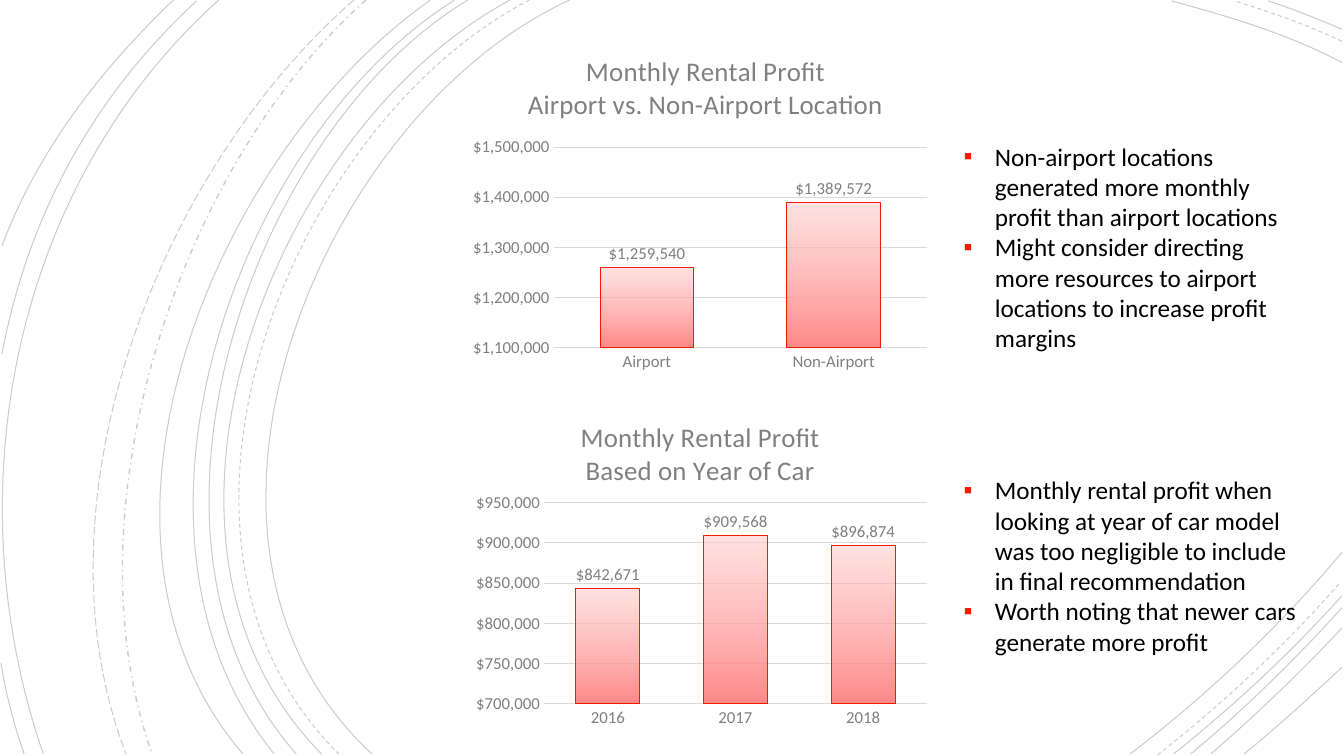
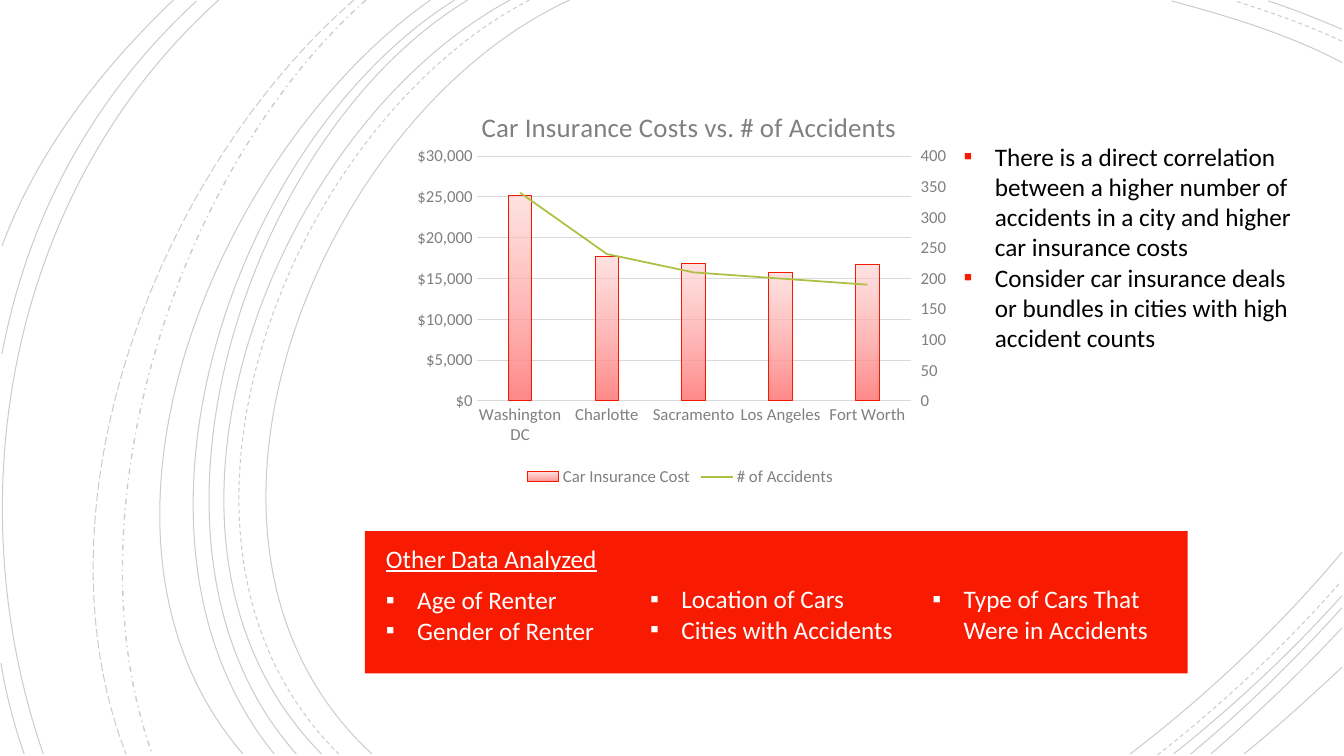
"""Build two slides of rental profit and car insurance charts."""
from pptx import Presentation, oxml
from pptx import util as u
from pptx.chart import axis, data
from pptx.dml.color import RGBColor
from pptx.enum import chart as ch, dml, shapes, text
from pptx.oxml import ns

FONT = "Calibri"
COLORS = {"black": "000000", "white": "FFFFFF", "red": "F81B02", "edge": "F31A02",
          "grey": "808080", "grid": "D9D9D9", "bar_top": "FFCECD",
          "bar_bottom": "FF807F", "line": "AFBF41"}
NSDECL = ns.nsdecls("a", "c")
DOLLARS = '"$"#,##0'

ARCS = {
    (dml.MSO_LINE.SOLID, 0.75): [
        (5.65, 0, 3.15, 1.15, 1.43, 5.4, 3.69, 7.48),
        (13.31, 0.62, 12.78, 0.34, 12.18, 0.16, 11.62, 0.01),
        (11.21, 7.48, 11.97, 6.9, 12.69, 6.22, 13.31, 5.48),
        (5.06, 0, 2.7, 1.27, 1.1, 5.37, 3.19, 7.48),
        (13.31, 0.29, 13.07, 0.19, 12.83, 0.09, 12.58, 0.01),
        (11.64, 7.48, 12.23, 7.01, 12.8, 6.48, 13.31, 5.91),
        (4.64, 0, 2.44, 1.33, 1.1, 5.41, 2.94, 7.48),
        (11.81, 7.48, 12.34, 7.04, 12.84, 6.55, 13.31, 6.03),
        (4.51, 0, 2.31, 1.38, 0.97, 5.33, 2.72, 7.48),
        (12.01, 7.48, 12.46, 7.09, 12.9, 6.67, 13.31, 6.23),
        (4.27, 0, 2.17, 1.47, 0.53, 5.29, 2.41, 7.48),
        (12.34, 7.48, 12.67, 7.21, 12.99, 6.92, 13.31, 6.62),
        (2.17, 0, 0.11, 1.85, -0.46, 4.9, 0.43, 7.48),
        (1.95, 0.01, 0.92, 0.96, 0.28, 2.14, 0.02, 3.51),
        (0.01, 6.58, 0.06, 6.89, 0.14, 7.19, 0.24, 7.48),
        (1.72, 0, 1, 0.69, 0.37, 1.5, 0.02, 2.44)],
    (dml.MSO_LINE.DASH, 0.75): [
        (5.25, 0, 2.85, 1.25, 1.23, 5.37, 3.36, 7.48),
        (13.31, 0.41, 12.97, 0.25, 12.6, 0.12, 12.25, 0.01),
        (11.48, 7.49, 12.13, 6.98, 12.75, 6.4, 13.3, 5.77)],
    (dml.MSO_LINE.DASH_DOT, 1): [(3.63, 0, 1.76, 1.66, 0.65, 5.09, 1.51, 7.48)],
    (dml.MSO_LINE.LONG_DASH, 0.75): [(3.51, 0, 1.57, 1.69, 0.29, 4.99, 1.25, 7.48)],
}


def rgb(name):
    """Return the named colour."""
    return RGBColor.from_string(COLORS[name])


def assign(obj, **values):
    """Set attributes from a dict of format values."""
    for name, value in values.items():
        setattr(obj, name, value)


def set_font(font, size, color, **extra):
    """Format a font."""
    assign(font, name=FONT, size=u.Pt(size), **extra)
    font.color.rgb = rgb(color)


def set_line(line, color, width):
    """Format a line."""
    line.color.rgb = rgb(color)
    line.width = u.Pt(width)


def set_alpha(el, *percents):
    """Give the colours inside an element their opacity."""
    for clr, percent in zip(el.iter(ns.qn("a:srgbClr")), percents):
        clr.append(oxml.parse_xml(f'<a:alpha {NSDECL} val="{percent * 1000}"/>'))


def add_arc(slide, tree, number, points, dash, width):
    """Draw a Bezier arc and place it on the shared layout."""
    pts = list(zip(points[::2], points[1::2]))
    builder = slide.shapes.build_freeform(*pts[0], scale=u.Inches(1) / 1.0)
    builder = slide.shapes.build_freeform(
        *(round(v * 100) for v in pts[0]), scale=u.Inches(0.01))
    builder.add_line_segments(
        [(round(x * 100), round(y * 100)) for x, y in pts[1:]], close=False)
    sp = builder.convert_to_shape()
    sp.shadow.inherit = False
    sp.fill.background()
    set_line(sp.line, "black", width)
    sp.line.dash_style = dash
    set_alpha(sp.element, 20)
    steps = list(sp.element.iter(ns.qn("a:lnTo")))
    curve = oxml.parse_xml(f"<a:cubicBezTo {NSDECL}/>")
    steps[0].addprevious(curve)
    for step in steps:
        curve.append(step[0])
        step.getparent().remove(step)
    next(sp.element.iter(ns.qn("p:cNvPr"))).set("id", str(100 + number))
    tree.append(sp.element)


def add_arcs(slide):
    """Draw the background arcs once for all slides."""
    tree = slide.slide_layout.shapes.element
    arcs = [(pts, *style) for style, group in ARCS.items() for pts in group]
    for number, arc in enumerate(arcs):
        add_arc(slide, tree, number, *arc)


def add_text(slide, box, lines, color="black", bullet="red", underline=None):
    """Add a text box, bulleted when a bullet colour is given."""
    tf = slide.shapes.add_textbox(*map(u.Inches, box)).text_frame
    assign(tf, word_wrap=True, auto_size=text.MSO_AUTO_SIZE.SHAPE_TO_FIT_TEXT)
    for i, line in enumerate(lines):
        p = tf.paragraphs[0] if i == 0 else tf.add_paragraph()
        r = p.add_run()
        r.text = line
        set_font(r.font, 18, color, underline=underline)
        if bullet:
            pPr = p._p.get_or_add_pPr()
            pPr.set("marL", str(u.Inches(0.31)))
            pPr.set("indent", str(-u.Inches(0.31)))
            for xml in (f'<a:buClr {NSDECL}><a:srgbClr val="{COLORS[bullet]}"/></a:buClr>',
                        f'<a:buFont {NSDECL} typeface="Wingdings"/>',
                        f'<a:buChar {NSDECL} char="▪"/>'):
                pPr.append(oxml.parse_xml(xml.replace("Wingdings", "Arial")))


def set_layout(parent, index, **values):
    """Place a chart part by fractions of the chart's size."""
    for old in parent.findall(ns.qn("c:layout")):
        parent.remove(old)
    target = '<c:layoutTarget val="inner"/>' if "w" in values else ""
    modes = "".join(f'<c:{k}Mode val="edge"/>' for k in "xy")
    parts = "".join(f'<c:{k} val="{v}"/>' for k, v in values.items())
    parent.insert(index, oxml.parse_xml(
        f"<c:layout {NSDECL}><c:manualLayout>{target}{modes}{parts}"
        "</c:manualLayout></c:layout>"))


def style_value_axis(ax, low, high, step, fmt):
    """Set a value axis' scale and look."""
    assign(ax, minimum_scale=low, maximum_scale=high, major_unit=step,
           major_tick_mark=ch.XL_TICK_MARK.NONE)
    set_font(ax.tick_labels.font, 12, "grey")
    assign(ax.tick_labels, number_format=fmt, number_format_is_linked=False)
    ax.format.line.fill.background()


def add_columns(slide, box, title, title_at, plot_at, cats, series, scale, gap, overlap):
    """Add a column chart with gradient bars."""
    cd = data.CategoryChartData()
    cd.categories = cats
    for name, values in series.items():
        cd.add_series(name, values)
    chart = slide.shapes.add_chart(
        ch.XL_CHART_TYPE.COLUMN_CLUSTERED, *map(u.Inches, box), cd).chart
    set_font(chart.font, 10, "black")
    assign(chart, has_legend=False, has_title=True)
    tf = chart.chart_title.text_frame
    tf.text = title
    for p in tf.paragraphs:
        set_font(p.runs[0].font, 19.2, "grey", bold=False)
    set_layout(chart.chart_title.element, 1, **dict(zip("xy", title_at)))
    set_layout(chart.element.find(".//" + ns.qn("c:plotArea")), 0,
               **dict(zip("xywh", plot_at)))
    style_value_axis(chart.value_axis, *scale, DOLLARS)
    set_line(chart.value_axis.major_gridlines.format.line, "grid", 0.75)
    cat = chart.category_axis
    cat.major_tick_mark = ch.XL_TICK_MARK.NONE
    set_font(cat.tick_labels.font, 12, "grey")
    set_line(cat.format.line, "grid", 0.75)
    plot = chart.plots[0]
    assign(plot, gap_width=gap, overlap=overlap, vary_by_categories=False)
    bars = plot.series[0]
    fill = bars.format.fill
    fill.gradient()
    fill.gradient_angle = 270
    for stop, name in zip(fill.gradient_stops, ("bar_top", "bar_bottom")):
        stop.color.rgb = rgb(name)
    set_alpha(bars.format.element if hasattr(bars.format, "element")
              else bars._element.find(ns.qn("c:spPr")), 60, 92)
    set_line(bars.format.line, "edge", 0.75)
    return chart


def add_profit_chart(slide, top, **values):
    """Add a monthly profit chart with value labels."""
    chart = add_columns(slide, (4.54, top, 4.75, 3.32), gap=100, overlap=-24, **values)
    plot = chart.plots[0]
    plot.has_data_labels = True
    labels = plot.data_labels
    assign(labels, show_value=True, number_format=DOLLARS, number_format_is_linked=False,
           position=ch.XL_LABEL_POSITION.OUTSIDE_END)
    set_font(labels.font, 12, "grey")


def move_to_second_axis(chart, scale):
    """Turn the last series into a line on a right-hand axis."""
    bar = chart.element.find(".//" + ns.qn("c:barChart"))
    ser = bar.findall(ns.qn("c:ser"))[-1]
    for el in ser.findall(ns.qn("c:invertIfNegative")):
        ser.remove(el)
    line = oxml.parse_xml(
        f'<c:lineChart {NSDECL}><c:grouping val="standard"/><c:varyColors val="0"/>'
        '<c:marker val="1"/><c:axId val="501"/><c:axId val="502"/></c:lineChart>')
    line.insert(2, ser)
    bar.addnext(line)
    last = chart.value_axis._element
    for tag, own, other, hide, pos, cross in (
            ("valAx", 502, 501, 0, "r", "max"), ("catAx", 501, 502, 1, "b", "autoZero")):
        last.addnext(oxml.parse_xml(
            f'<c:{tag} {NSDECL}><c:axId val="{own}"/><c:scaling>'
            f'<c:orientation val="minMax"/></c:scaling><c:delete val="{hide}"/>'
            f'<c:axPos val="{pos}"/><c:majorTickMark val="out"/>'
            f'<c:minorTickMark val="none"/><c:tickLblPos val="nextTo"/>'
            f'<c:crossAx val="{other}"/><c:crosses val="{cross}"/></c:{tag}>'))
    right = axis.ValueAxis(last.getnext().getnext())
    style_value_axis(right, *scale, "General")
    right.major_tick_mark = ch.XL_TICK_MARK.OUTSIDE
    accidents = chart.plots[1].series[0]
    accidents.smooth = False
    accidents.marker.style = ch.XL_MARKER_STYLE.NONE
    set_line(accidents.format.line, "line", 1.25)


def build_profit(slide):
    """Fill the monthly profit slide."""
    add_profit_chart(
        slide, 0.43, title="Monthly Rental Profit\nAirport vs. Non-Airport Location",
        title_at=(0.14, 0.02), plot_at=(0.2, 0.31, 0.78, 0.6),
        cats=["Airport", "Non-Airport"], series={"Series 1": [1259540, 1389572]},
        scale=(1100000, 1500000, 100000))
    add_profit_chart(
        slide, 3.96, title="Monthly Rental Profit\nBased on Year of Car",
        title_at=(0.25, 0.05), plot_at=(0.18, 0.31, 0.8, 0.6),
        cats=["2016", "2017", "2018"], series={"Series 1": [842671, 909568, 896874]},
        scale=(700000, 950000, 50000))
    add_text(slide, (9.46, 1.35, 3.54, 2.22), [
        "Non-airport locations generated more monthly profit than airport locations",
        "Might consider directing more resources to airport locations to increase "
        "profit margins"])
    add_text(slide, (9.46, 4.66, 3.54, 1.92), [
        "Monthly rental profit when looking at year of car model was too negligible "
        "to include in final recommendation",
        "Worth noting that newer cars generate more profit"])


def build_insurance(slide):
    """Fill the car insurance slide."""
    add_text(slide, (9.46, 1.35, 3.54, 2.22), [
        "There is a direct correlation between a higher number of accidents in a city "
        "and higher car insurance costs",
        "Consider car insurance deals or bundles in cities with high accident counts"])
    chart = add_columns(
        slide, (4.02, 0.82, 5.45, 4.05), "Car Insurance Costs vs. # of Accidents",
        (0.13, 0.05), (0.13, 0.18, 0.79, 0.6),
        ["Washington DC", "Charlotte", "Sacramento", "Los Angeles", "Fort Worth"],
        {"Car Insurance Cost": [25200, 17700, 16800, 15700, 16700],
         "# of Accidents": [340, 240, 210, 200, 190]},
        (0, 30000, 5000), 269, -27)
    move_to_second_axis(chart, (0, 400, 50))
    chart.has_legend = True
    assign(chart.legend, position=ch.XL_LEGEND_POSITION.BOTTOM, include_in_layout=False)
    set_font(chart.legend.font, 12, "grey")
    sp = slide.shapes.add_shape(
        shapes.MSO_SHAPE.RECTANGLE, *map(u.Inches, (3.62, 5.27, 8.16, 1.41)))
    sp.shadow.inherit = False
    sp.fill.solid()
    sp.fill.fore_color.rgb = rgb("red")
    sp.line.fill.background()
    add_text(slide, (3.73, 5.34, 8.06, 0.4), ["Other Data Analyzed"], "white", None, True)
    for box, lines in (
            ((3.73, 5.75, 2.45, 0.71), ["Age of Renter", "Gender of Renter"]),
            ((6.35, 5.74, 2.63, 0.71), ["Location of Cars", "Cities with Accidents"]),
            ((9.15, 5.74, 2.45, 0.71), ["Type of Cars That Were in Accidents"])):
        add_text(slide, box, lines, "white", "white")


def main():
    """Build and save the slides."""
    prs = Presentation()
    assign(prs, slide_width=u.Inches(13.33), slide_height=u.Inches(7.5))
    profit, insurance = (prs.slides.add_slide(prs.slide_layouts[6]) for _ in range(2))
    add_arcs(profit)
    build_profit(profit)
    build_insurance(insurance)
    prs.save("out.pptx")


main()
